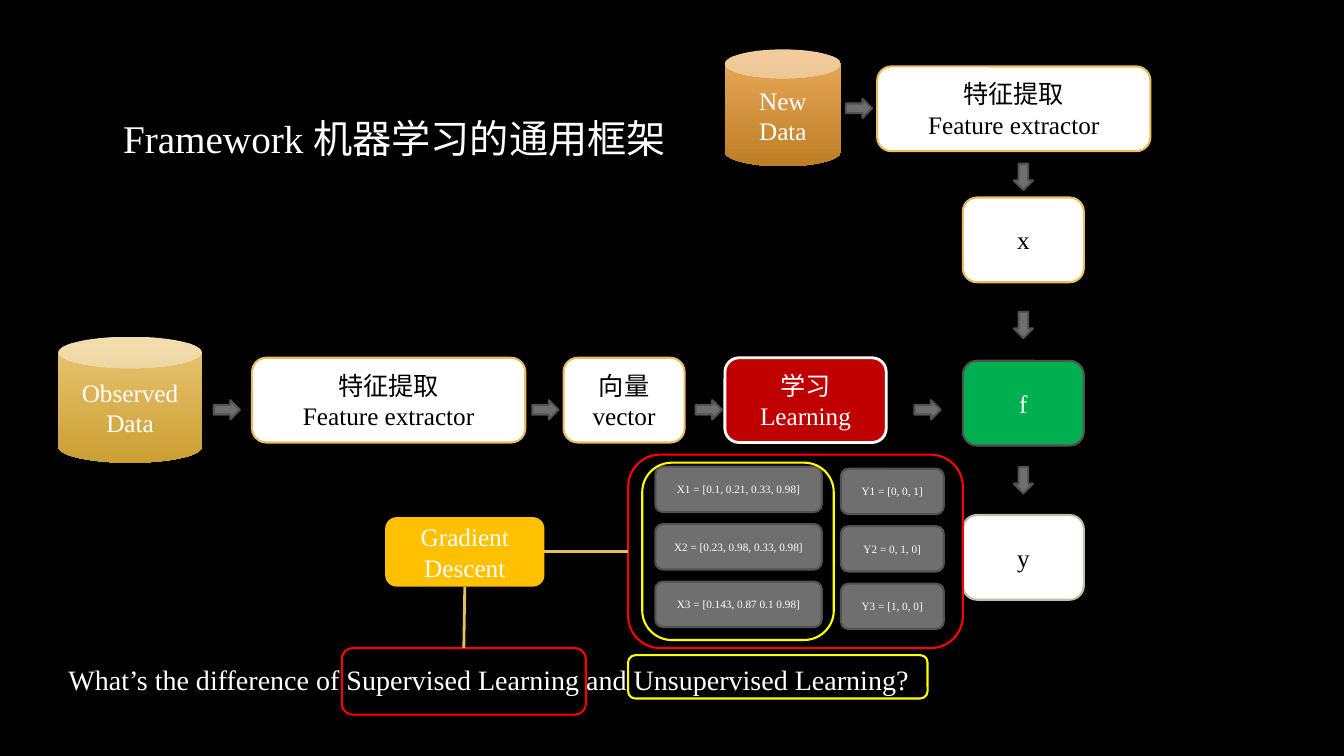
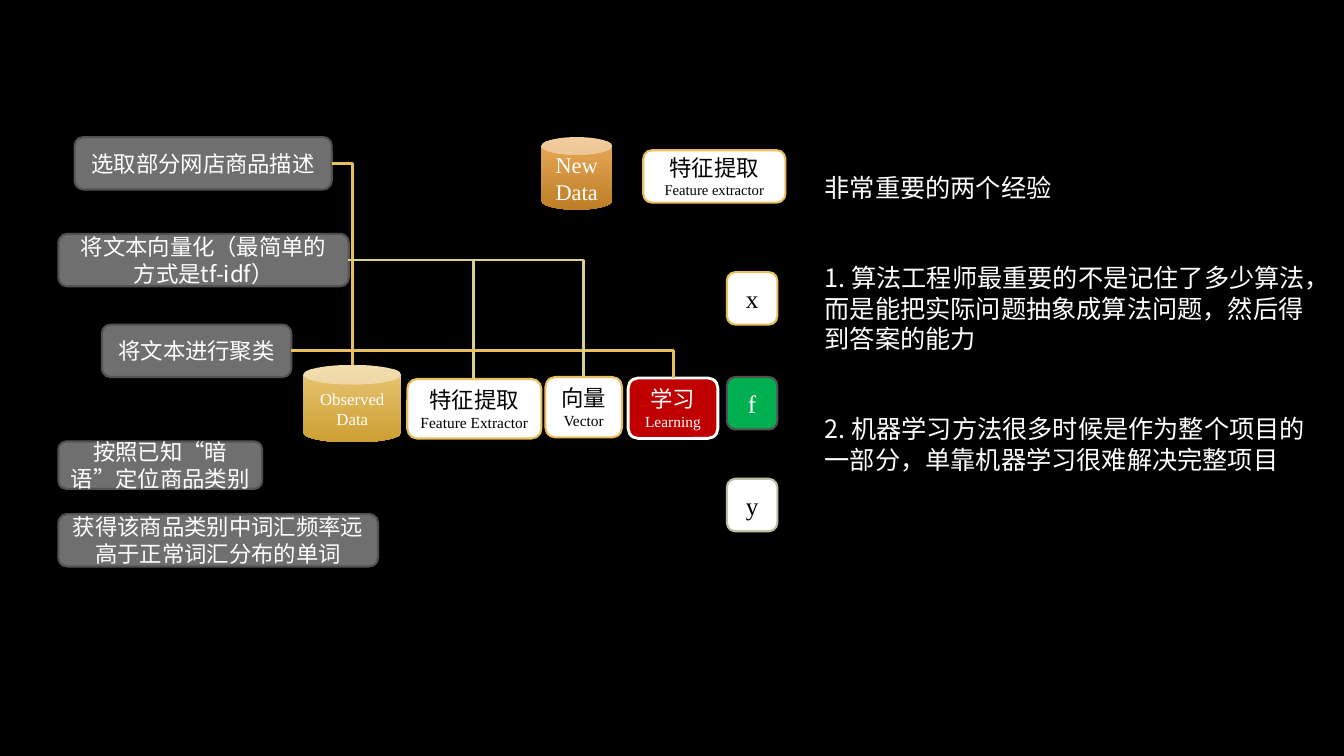
import pptx
import pptx.dml.color
import pptx.enum.shapes
import pptx.enum.text
import pptx.oxml.ns
import pptx.util
from lxml import etree
from pptx.util import Inches

SHAPE = pptx.enum.shapes.MSO_SHAPE
CONNECTOR = pptx.enum.shapes.MSO_CONNECTOR
ALIGN = pptx.enum.text.PP_ALIGN
qn = pptx.oxml.ns.qn

SERIF = "Times New Roman"
SANS = "Noto Sans CJK SC"
BLACK, WHITE = "000000", "FFFFFF"
GOLD, SAGE, STRAW = "E7BF5F", "BFBFA5", "DCD084"
GRAY, DARK_GRAY = "6F6F6F", "525252"
CRIMSON, GREEN, AMBER = "C00000", "00B050", "FFC000"
RED, YELLOW = "FF0000", "FFFF00"
OBSERVED_SHADES = ("EAC778", "CC9F32")
NEW_SHADES = ("EBAB5C", "BD7E25")


def color(value):
    return pptx.dml.color.RGBColor.from_string(value)


class Deck:
    TITLE_ONLY, BLANK = 5, 6
    LINE_HEIGHT = 1.2

    def __init__(self):
        self.presentation = pptx.Presentation()
        self.presentation.slide_width = Inches(13.33)
        self.presentation.slide_height = Inches(7.5)
        background = self.presentation.slide_master.background.fill
        background.solid()
        background.fore_color.rgb = color(BLACK)
        self.slide = None

    def add_slide(self, layout):
        self.slide = self.presentation.slides.add_slide(
            self.presentation.slide_layouts[layout])

    def fill_text(self, frame, lines, sizes, ink=WHITE, font=SERIF,
                  align=ALIGN.CENTER):
        frame.word_wrap = True
        for index, line in enumerate(lines):
            paragraph = (frame.add_paragraph() if index
                         else frame.paragraphs[0])
            size = sizes[min(index, len(sizes) - 1)]
            paragraph.text = line
            paragraph.alignment = align
            paragraph.line_spacing = pptx.util.Pt(size * self.LINE_HEIGHT)
            paragraph.font.size = pptx.util.Pt(size)
            paragraph.font.color.rgb = color(ink)
            paragraph.font.name = font
            latin = paragraph._p.pPr.find(qn("a:defRPr")).find(qn("a:latin"))
            latin.addnext(etree.Element(qn("a:ea"), typeface=SANS))

    def title(self, text, left, top, width, height):
        title = self.slide.shapes.title
        title.left, title.top = Inches(left), Inches(top)
        title.width, title.height = Inches(width), Inches(height)
        frame = title.text_frame
        frame.auto_size = pptx.enum.text.MSO_AUTO_SIZE.NONE
        frame.vertical_anchor = pptx.enum.text.MSO_ANCHOR.TOP
        self.fill_text(frame, [text], [28], align=ALIGN.LEFT)

    def text(self, lines, size, left, top, width, height, font=SERIF):
        box = self.slide.shapes.add_textbox(
            Inches(left), Inches(top), Inches(width), Inches(height))
        self.fill_text(box.text_frame, lines, [size], font=font,
                       align=ALIGN.LEFT)
        return box.text_frame.paragraphs

    def shape(self, kind, left, top, width, height, fill=None, line=None,
              weight=1.5):
        shape = self.slide.shapes.add_shape(
            kind, Inches(left), Inches(top), Inches(width), Inches(height))
        shape.shadow.inherit = False
        if fill:
            shape.fill.solid()
            shape.fill.fore_color.rgb = color(fill)
        else:
            shape.fill.background()
        if line:
            shape.line.color.rgb = color(line)
            shape.line.width = pptx.util.Pt(weight)
        else:
            shape.line.fill.background()
        return shape

    def box(self, lines, sizes, left, top, width, height, fill=WHITE,
            line=GOLD, ink=BLACK, weight=1.5, font=SERIF):
        shape = self.shape(SHAPE.ROUNDED_RECTANGLE, left, top, width, height,
                           fill, line, weight)
        self.fill_text(shape.text_frame, lines, sizes, ink, font)

    def gray_box(self, text, size, left, top, width, height, font=SERIF):
        self.box([text], [size], left, top, width, height, GRAY, DARK_GRAY,
                 WHITE, font=font)

    def learning_box(self, sizes, left, top, width, height):
        self.box(["学习", "Learning"], sizes, left, top, width, height,
                 CRIMSON, WHITE, WHITE, weight=2)

    def model_column(self, left, tops, width, height):
        styles = (("x", WHITE, GOLD, BLACK), ("f", GREEN, DARK_GRAY, WHITE),
                  ("y", WHITE, SAGE, BLACK))
        for (letter, fill, line, ink), top in zip(styles, tops):
            self.box([letter], [18], left, top, width, height, fill, line, ink)

    def data_can(self, word, size, shades, left, top, width, height):
        can = self.shape(SHAPE.CAN, left, top, width, height)
        can.fill.gradient()
        can.fill.gradient_angle = 270
        for stop, position, shade in zip(can.fill.gradient_stops, (0, 1),
                                         shades):
            stop.position = position
            stop.color.rgb = color(shade)
        self.fill_text(can.text_frame, [word, "Data"], [size])

    def arrow(self, left, top, rotation=0):
        arrow = self.shape(SHAPE.RIGHT_ARROW, left, top, 0.26, 0.19, GRAY,
                           DARK_GRAY)
        arrow.rotation = rotation

    def outline(self, left, top, width, height, line):
        self.shape(SHAPE.ROUNDED_RECTANGLE, left, top, width, height,
                   line=line)

    def connect(self, x1, y1, x2, y2, line=GOLD, bent=False):
        connector = self.slide.shapes.add_connector(
            CONNECTOR.ELBOW if bent else CONNECTOR.STRAIGHT,
            Inches(x1), Inches(y1), Inches(x2), Inches(y2))
        connector.line.color.rgb = color(line)
        connector.line.width = pptx.util.Pt(2)
        properties = connector._element.spPr
        etree.SubElement(properties, qn("a:effectLst"))
        if bent:
            properties.find(qn("a:prstGeom")).set("prst", "bentConnector2")


def build_framework(deck):
    deck.add_slide(deck.TITLE_ONLY)
    deck.title("Framework 机器学习的通用框架", 1.12, 1.08, 5.6, 1.05)

    deck.data_can("Observed", 18, OBSERVED_SHADES, 0.58, 3.34, 1.42, 1.25)
    deck.data_can("New", 18, NEW_SHADES, 7.19, 0.49, 1.15, 1.16)
    for left, top in ((2.5, 3.55), (8.7, 0.66)):
        deck.box(["特征提取", "Feature extractor"], [18], left, top, 2.71, 0.84)
    deck.box(["向量", "vector"], [18], 5.59, 3.55, 1.2, 0.84)
    deck.learning_box([18], 7.19, 3.55, 1.6, 0.84)
    deck.model_column(9.55, (1.96, 3.58, 5.11), 1.2, 0.84)

    for left in (2.12, 5.28, 6.9, 9.07):
        deck.arrow(left, 3.97)
    deck.arrow(8.39, 0.98)
    for top in (1.66, 3.13, 4.67):
        deck.arrow(10.02, top, 90)

    deck.text(["What’s the difference of Supervised Learning and "
               "Unsupervised Learning?"], 20, 0.58, 6.52, 8.8, 0.44)

    samples = (("X1 = [0.1, 0.21, 0.33, 0.98]", "Y1 = [0, 0, 1]"),
               ("X2 = [0.23, 0.98, 0.33, 0.98]", "Y2 = 0, 1, 0]"),
               ("X3 = [0.143, 0.87 0.1 0.98]", "Y3 = [1, 0, 0]"))
    for row, (features, label) in enumerate(samples):
        top = 4.63 + 0.57 * row
        deck.gray_box(features, 8, 6.5, top, 1.65, 0.45)
        deck.gray_box(label, 8, 8.34, top + 0.02, 1.02, 0.45)

    deck.outline(6.23, 4.51, 3.32, 1.92, RED)
    deck.outline(3.39, 6.43, 2.42, 0.66, RED)
    deck.outline(6.37, 4.59, 1.9, 1.76, YELLOW)
    deck.outline(6.23, 6.5, 2.97, 0.43, YELLOW)
    deck.box(["Gradient Descent"], [18], 3.82, 5.13, 1.58, 0.69, AMBER, None,
             WHITE)
    deck.connect(5.4, 5.47, 6.23, 5.47)
    deck.connect(4.61, 5.82, 4.6, 6.43)


def build_experience(deck):
    deck.add_slide(deck.BLANK)
    steps = (("选取部分网店商品描述", 0.74, 1.36, 2.55, 0.52),
             ("将文本向量化（最简单的方式是tf-idf）", 0.58, 2.32, 2.88, 0.52),
             ("将文本进行聚类", 1.01, 3.22, 1.88, 0.52),
             ("按照已知“暗语”定位商品类别", 0.58, 4.38, 2.02, 0.47),
             ("获得该商品类别中词汇频率远高于正常词汇分布的单词",
              0.58, 5.1, 3.17, 0.52))
    for text, *place in steps:
        deck.gray_box(text, 16, *place, font=SANS)

    deck.data_can("Observed", 12, OBSERVED_SHADES, 3.01, 3.62, 0.97, 0.77)
    deck.data_can("New", 16, NEW_SHADES, 5.37, 1.36, 0.7, 0.72)
    deck.box(["特征提取", "Feature Extractor"], [16, 11],
             4.04, 3.76, 1.33, 0.59)
    deck.box(["向量", "Vector"], [16, 11], 5.41, 3.74, 0.76, 0.6)
    deck.learning_box([16, 11], 6.23, 3.75, 0.89, 0.6)
    deck.box(["特征提取", "Feature extractor"], [16, 10.5],
             6.38, 1.49, 1.41, 0.52)
    deck.model_column(7.21, (2.7, 3.74, 4.75), 0.5, 0.52)

    for x1, y1, x2, y2, line in ((3.29, 1.62, 3.5, 3.62, GOLD),
                                 (3.45, 2.58, 4.7, 3.76, STRAW),
                                 (2.89, 3.48, 6.68, 3.75, GOLD),
                                 (3.85, 2.58, 5.79, 3.74, STRAW)):
        deck.connect(x1, y1, x2, y2, line, bent=True)

    notes = deck.text(
        ["非常重要的两个经验",
         "1. 算法工程师最重要的不是记住了多少算法，",
         "而是能把实际问题抽象成算法问题，然后得到答案的能力",
         "2. 机器学习方法很多时候是作为整个项目的一部分，"
         "单靠机器学习很难解决完整项目"],
        18, 8.08, 1.66, 5.19, 3.13, SANS)
    for lesson in (notes[1], notes[3]):
        lesson.space_before = pptx.util.Pt(43)


def main():
    deck = Deck()
    build_framework(deck)
    build_experience(deck)
    deck.presentation.save("out.pptx")


if __name__ == "__main__":
    main()
